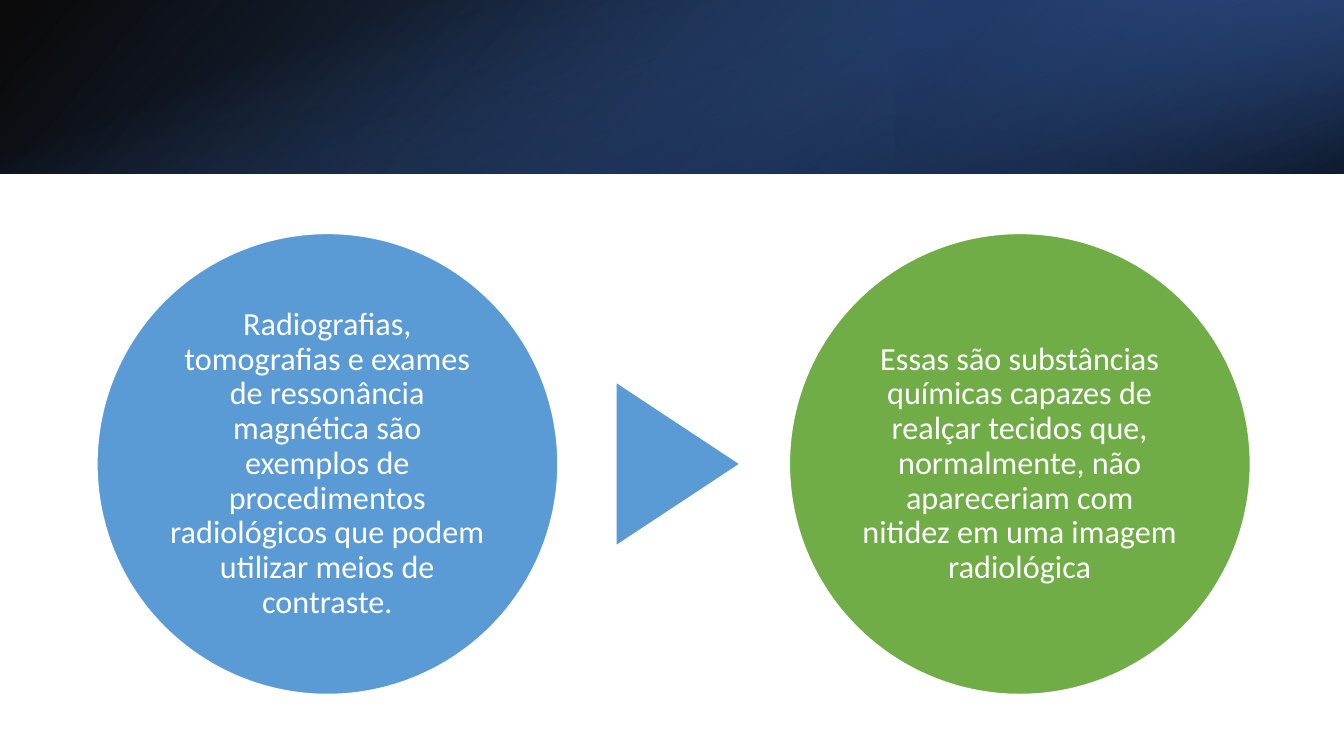
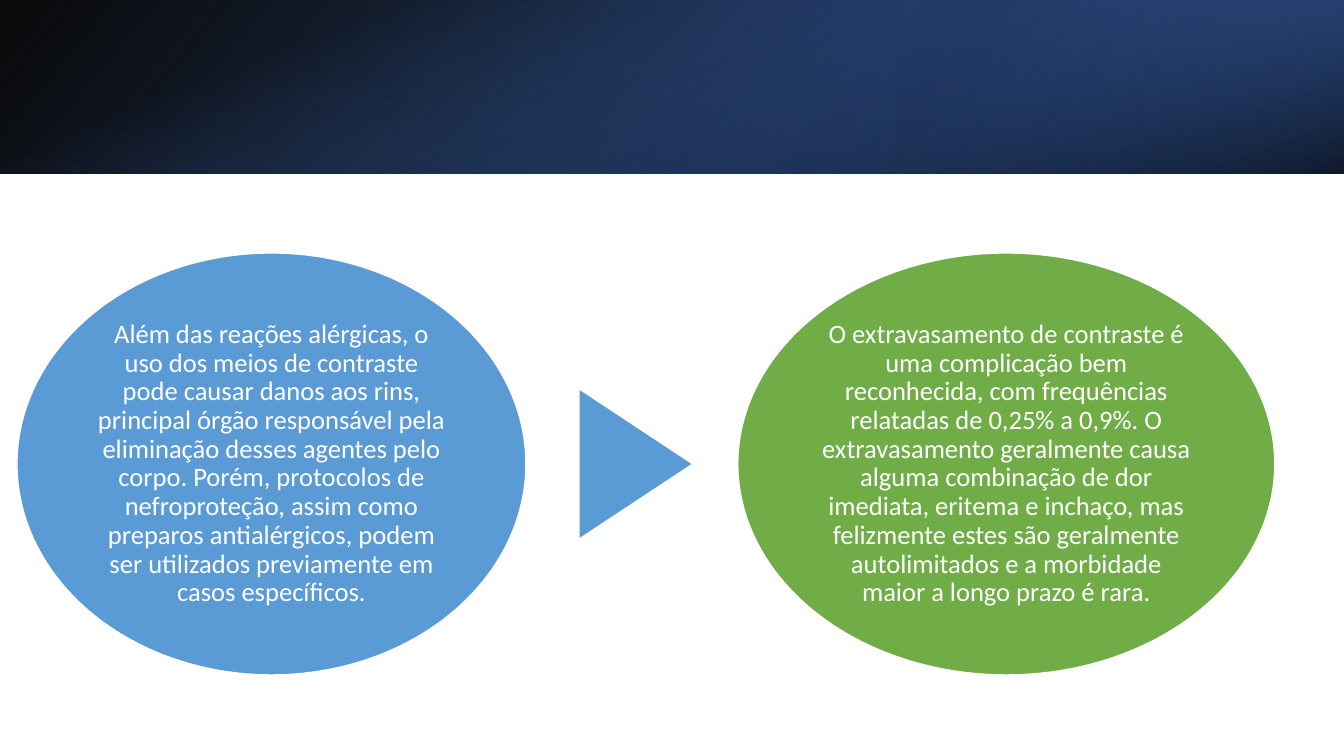
from lxml.etree import SubElement
from pptx import Presentation
from pptx.dml.color import RGBColor
from pptx.enum.shapes import MSO_SHAPE
from pptx.enum.text import MSO_ANCHOR, PP_ALIGN
from pptx.oxml.ns import qn
from pptx.util import Pt

PX = 914400 / 100.8
WIDTH, HEIGHT, BAND = 1344, 756, 174
MIDDLE = 464

BLACK = RGBColor(0x00, 0x00, 0x00)
WHITE = RGBColor(0xFF, 0xFF, 0xFF)
NAVY = RGBColor(0x20, 0x38, 0x64)
DEEP_BLUE = RGBColor(0x2F, 0x55, 0x97)
ROYAL = RGBColor(0x44, 0x72, 0xC4)
BLUE = RGBColor(0x5B, 0x9B, 0xD5)
GREEN = RGBColor(0x70, 0xAD, 0x47)


def px(n):
    return round(n * PX)


class Deck:
    """Holds the shared style and the current slide."""

    font = "Calibri"
    inset = 3

    def __init__(self):
        self.prs = Presentation()
        self.prs.slide_width, self.prs.slide_height = px(WIDTH), px(HEIGHT)
        self.s = None

    def slide(self):
        self.s = self.prs.slides.add_slide(self.prs.slide_layouts[6])
        self.band()

    def shape(self, kind, x, y, w, h, color=None, rotation=0):
        sp = self.s.shapes.add_shape(kind, px(x), px(y), px(w), px(h))
        sp.shadow.inherit = False
        sp.rotation = rotation
        sp.line.fill.background()
        if color is not None:
            sp.fill.solid()
            sp.fill.fore_color.rgb = color
        return sp

    def gradient(self, box, stops, angle, rotation=0, flip=False):
        sp = self.shape(MSO_SHAPE.RECTANGLE, *box, rotation=rotation)
        sp.fill.gradient()
        sp.fill.gradient_angle = 360 - angle
        for stop, (position, color, _) in zip(sp.fill.gradient_stops, stops):
            stop.position = position / 100
            stop.color.rgb = color
        spPr = sp._element.spPr
        for clr, (_, _, opacity) in zip(spPr.iter(qn("a:srgbClr")), stops):
            SubElement(clr, qn("a:alpha")).set("val", str(opacity * 1000))
        if flip:
            spPr.find(qn("a:xfrm")).set("flipH", "1")

    def band(self):
        third = WIDTH // 3
        offset = (WIDTH - BAND) // 2
        self.gradient((0, 0, WIDTH, BAND),
                      [(0, BLACK, 96), (100, DEEP_BLUE, 100)], 140, flip=True)
        self.gradient((WIDTH - third, 0, third, BAND),
                      [(19, NAVY, 68), (100, ROYAL, 79)], 320, rotation=180, flip=True)
        self.gradient((offset, -offset, BAND, WIDTH),
                      [(23, ROYAL, 0), (99, BLACK, 74)], 340, rotation=90)

    def ellipse(self, x, w, h, color, text, size):
        sp = self.shape(MSO_SHAPE.OVAL, x, MIDDLE - h / 2, w, h, color)
        sp.line.color.rgb = WHITE
        sp.line.width = Pt(1)
        tf = sp.text_frame
        tf.word_wrap = True
        tf.vertical_anchor = MSO_ANCHOR.MIDDLE
        tf.margin_left = tf.margin_right = px(self.inset)
        tf.margin_top = tf.margin_bottom = px(self.inset)
        tf.text = text
        p = tf.paragraphs[0]
        p.alignment = PP_ALIGN.CENTER
        p.line_spacing = 0.9
        font = p.runs[0].font
        font.name, font.size, font.color.rgb = self.font, Pt(size), WHITE

    def arrow(self, x, base, depth):
        self.shape(MSO_SHAPE.ISOSCELES_TRIANGLE, x + (depth - base) / 2,
                   MIDDLE - depth / 2, base, depth, BLUE, rotation=90)

    def flow(self, left, height, widths, texts, size):
        arrow_x = left + widths[0] + 0.127 * height
        depth = 0.265 * height
        right = arrow_x + depth + 0.11 * height
        self.ellipse(left, widths[0], height, BLUE, texts[0], size)
        self.arrow(arrow_x, 0.35 * height, depth)
        self.ellipse(right, widths[1], height, GREEN, texts[1], size)


def main():
    deck = Deck()

    deck.slide()
    deck.flow(97, 461, (461, 461), (
        "Radiografias, tomografias e exames de ressonância magnética são exemplos "
        "de procedimentos radiológicos que podem utilizar meios de contraste.",
        "Essas são substâncias químicas capazes de realçar tecidos que, normalmente, "
        "não apareceriam com nitidez em uma imagem radiológica",
    ), 23)

    deck.slide()
    deck.flow(17, 422, (509, 537), (
        "Além das reações alérgicas, o uso dos meios de contraste pode causar danos "
        "aos rins, principal órgão responsável pela eliminação desses agentes pelo "
        "corpo. Porém, protocolos de nefroproteção, assim como preparos "
        "antialérgicos, podem ser utilizados previamente em casos específicos.",
        "O extravasamento de contraste é uma complicação bem reconhecida, com "
        "frequências relatadas de 0,25% a 0,9%. O extravasamento geralmente causa "
        "alguma combinação de dor imediata, eritema e inchaço, mas felizmente estes "
        "são geralmente autolimitados e a morbidade maior a longo prazo é rara.",
    ), 19)

    deck.prs.save("out.pptx")


if __name__ == "__main__":
    main()
